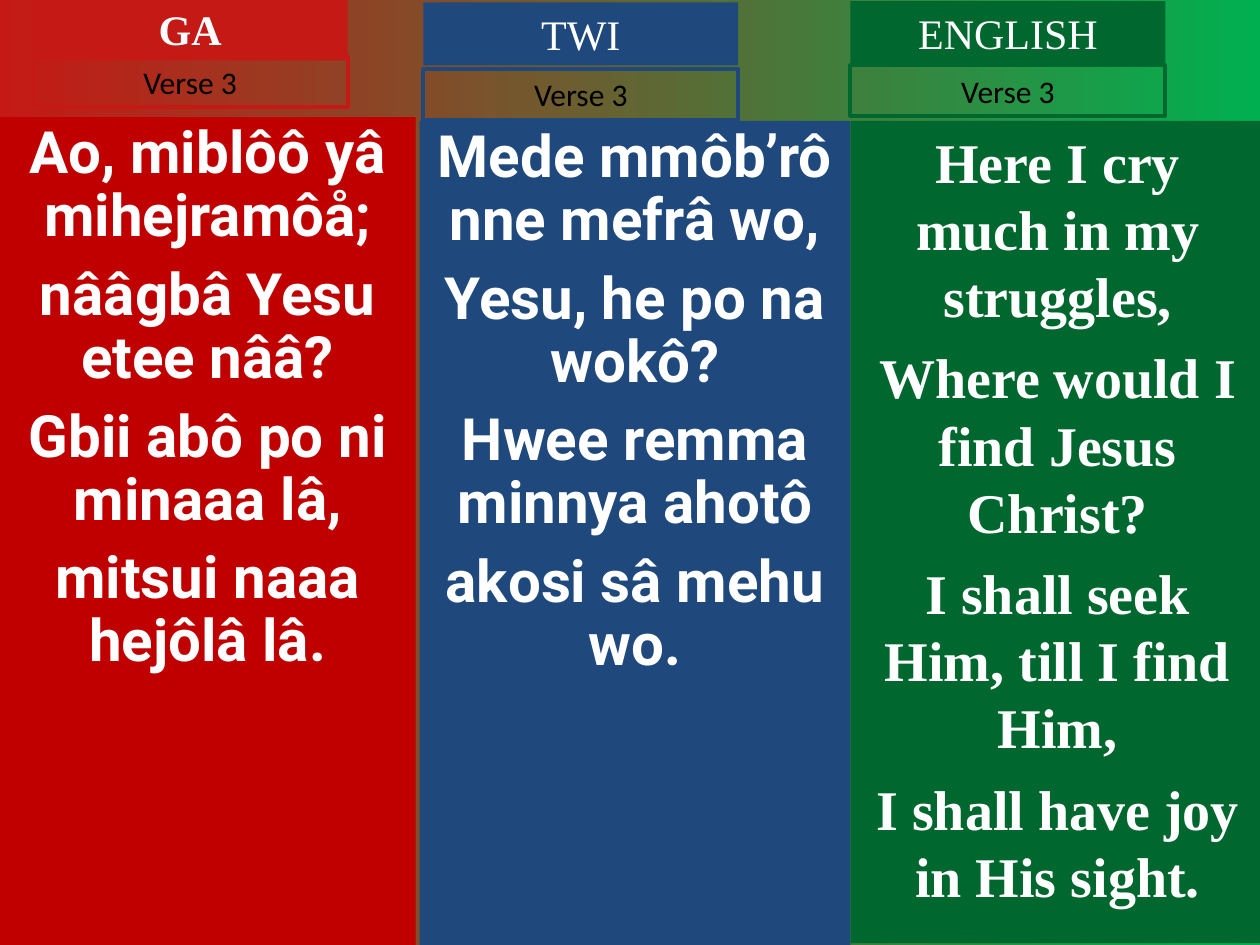
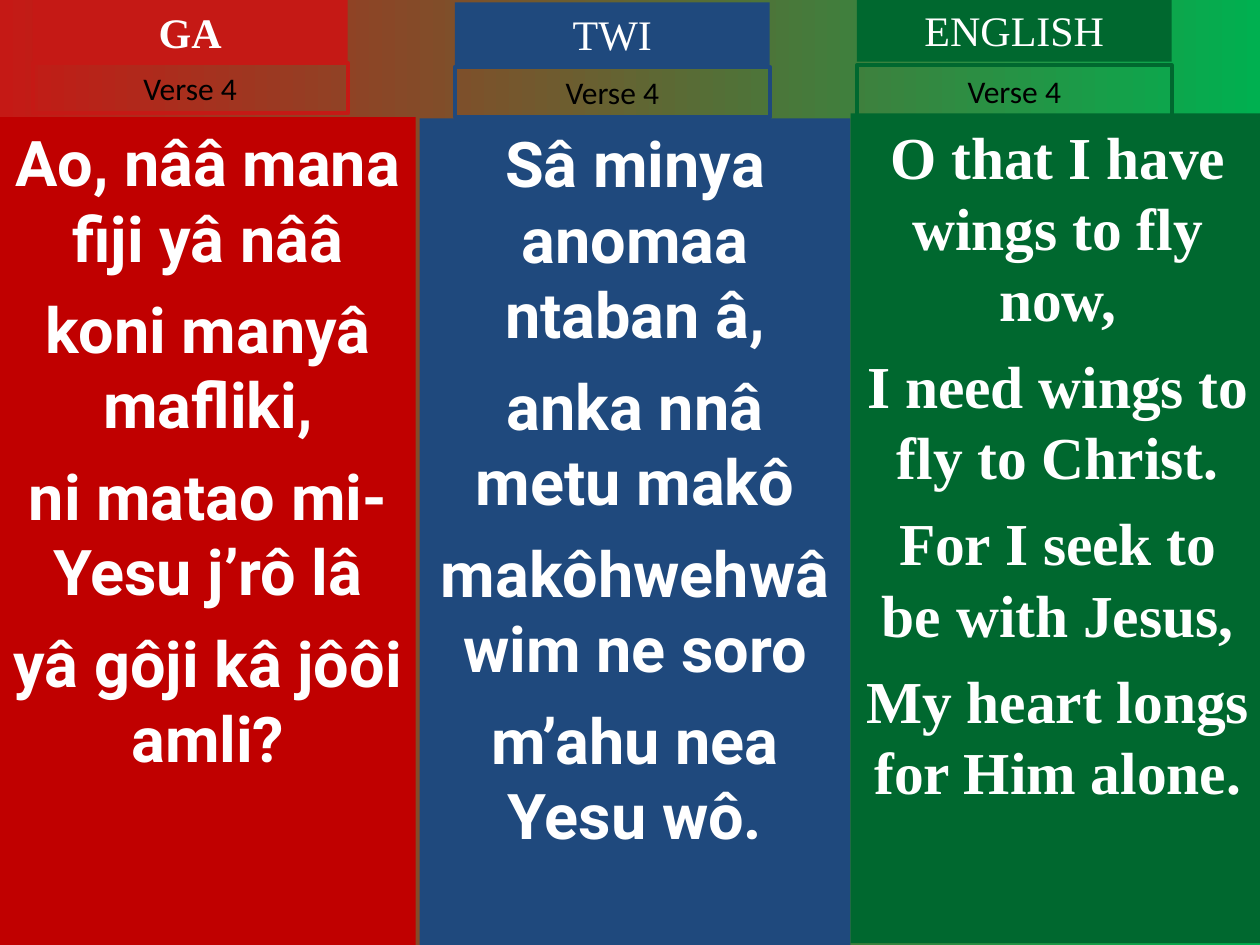
"""Build two hymn slides with the verses side by side in Ga, Twi and English."""
from pptx import Presentation
from pptx.dml.color import RGBColor
from pptx.enum.shapes import MSO_SHAPE as SHAPE
from pptx.enum.text import MSO_ANCHOR as ANCHOR, MSO_AUTO_SIZE as AUTO, PP_ALIGN as ALIGN
from pptx.util import Pt

COLORS = {"red": "C51915", "green": "00B050", "ga": "C00000", "twi": "1F497D",
          "english": "00682F", "white": "FFFFFF", "black": "000000"}

LANGUAGES = {
    "GA": dict(panel="ga", label="red", left=0, width=237.6, bottom=540,
               font="Roboto", bold_label=True),
    "TWI": dict(panel="twi", label="twi", left=239.8, width=246.2, bottom=540,
                font="Roboto", bold_label=False),
    "ENGLISH": dict(panel="english", label="english", left=486, width=236.9, bottom=539,
                    font="Times New Roman", bold_label=False),
}

VERSES = [
    ("Verse 3", {
        "GA": dict(top=67, label=(18.7, -1.4), verse_top=32.4, size=33.3, gap=9, spacing=0.9,
                   lines=["Ao, miblôô yâ mihejramôå;", "nââgbâ Yesu etee nââ?",
                          "Gbii abô po ni minaaa lâ,", "mitsui naaa hejôlâ lâ."]),
        "TWI": dict(top=69.1, label=(241.9, 1.4), verse_top=39.6, size=33.3, gap=9, spacing=0.9,
                    lines=["Mede mmôb’rô nne mefrâ wo,", "Yesu, he po na wokô?",
                           "Hwee remma minnya ahotô", "akosi sâ mehu wo."]),
        "ENGLISH": dict(top=69.1, label=(486, 0.7), verse_top=37.4, size=32, gap=8, spacing=1,
                        lines=["Here I cry much in my struggles,",
                               "Where would I find Jesus Christ?",
                               "I shall seek Him, till I find Him,",
                               "I shall have joy in His sight."]),
    }),
    ("Verse 4", {
        "GA": dict(top=67, label=(18.7, 0), verse_top=36, size=36, gap=9, spacing=1,
                   lines=["Ao, nââ mana fiji yâ nââ", "koni manyâ mafliki,",
                          "ni matao mi-Yesu j’rô lâ", "yâ gôji kâ jôôi amli?"]),
        "TWI": dict(top=67.7, label=(259.9, 1.4), verse_top=38.2, size=36, gap=9, spacing=1,
                    lines=["Sâ minya anomaa ntaban â,", "anka nnâ metu makô",
                           "makôhwehwâ wim ne soro", "m’ahu nea Yesu wô."]),
        "ENGLISH": dict(top=64.8, label=(489.6, -0.7), verse_top=37.4, size=34, gap=8.5, spacing=1,
                        lines=["O that I have wings to fly now,",
                               "I need wings to fly to Christ.",
                               "For I seek to be with Jesus,",
                               "My heart longs for Him alone."]),
    }),
]

LABEL_WIDTH, LABEL_HEIGHT, VERSE_HEIGHT = 180, 36, 28.8


def rgb(name):
    return RGBColor.from_string(COLORS[name])


def add_box(s, left, top, width, height, fill=None, line=None, grow=False):
    sp = s.shapes.add_shape(SHAPE.RECTANGLE, Pt(left), Pt(top), Pt(width), Pt(height))
    sp.shadow.inherit = False
    if fill:
        sp.fill.solid()
        sp.fill.fore_color.rgb = rgb(fill)
    else:
        sp.fill.background()
    if line:
        sp.line.color.rgb = rgb(line)
        sp.line.width = Pt(2.25)
    else:
        sp.line.fill.background()
    tf = sp.text_frame
    tf.word_wrap = True
    tf.vertical_anchor = ANCHOR.TOP
    tf.auto_size = AUTO.SHAPE_TO_FIT_TEXT if grow else AUTO.NONE
    return tf


def write(tf, lines, font, size, color="white", bold=False, gap=0, spacing=1):
    for i, line in enumerate(lines):
        p = tf.add_paragraph() if i else tf.paragraphs[0]
        p.alignment = ALIGN.CENTER
        p.line_spacing = spacing
        p.space_before = Pt(gap if i else 0)
        r = p.add_run()
        r.text = line
        r.font.name = font
        r.font.size = Pt(size)
        r.font.bold = bold
        r.font.color.rgb = rgb(color)


def add_column(s, verse, title, lang, part):
    panel = add_box(s, lang["left"], part["top"], lang["width"],
                    lang["bottom"] - part["top"], fill=lang["panel"])
    write(panel, part["lines"], lang["font"], part["size"], bold=True,
          gap=part["gap"], spacing=part["spacing"])
    left, top = part["label"]
    label = add_box(s, left, top, LABEL_WIDTH, LABEL_HEIGHT, fill=lang["label"], grow=True)
    write(label, [title], "Times New Roman", 24, bold=lang["bold_label"])
    number = add_box(s, left, part["verse_top"], LABEL_WIDTH, VERSE_HEIGHT,
                     line=lang["label"], grow=True)
    write(number, [verse], "Calibri", 18, color="black")


def main():
    prs = Presentation()
    prs.slide_width, prs.slide_height = Pt(720), Pt(540)
    fill = prs.slide_master.background.fill
    fill.gradient()
    fill.gradient_angle = 0
    for stop, name in zip(fill.gradient_stops, ("red", "green")):
        stop.color.rgb = rgb(name)
    for verse, parts in VERSES:
        s = prs.slides.add_slide(prs.slide_layouts[6])
        for title, lang in LANGUAGES.items():
            add_column(s, verse, title, lang, parts[title])
    prs.save("out.pptx")


if __name__ == "__main__":
    main()
